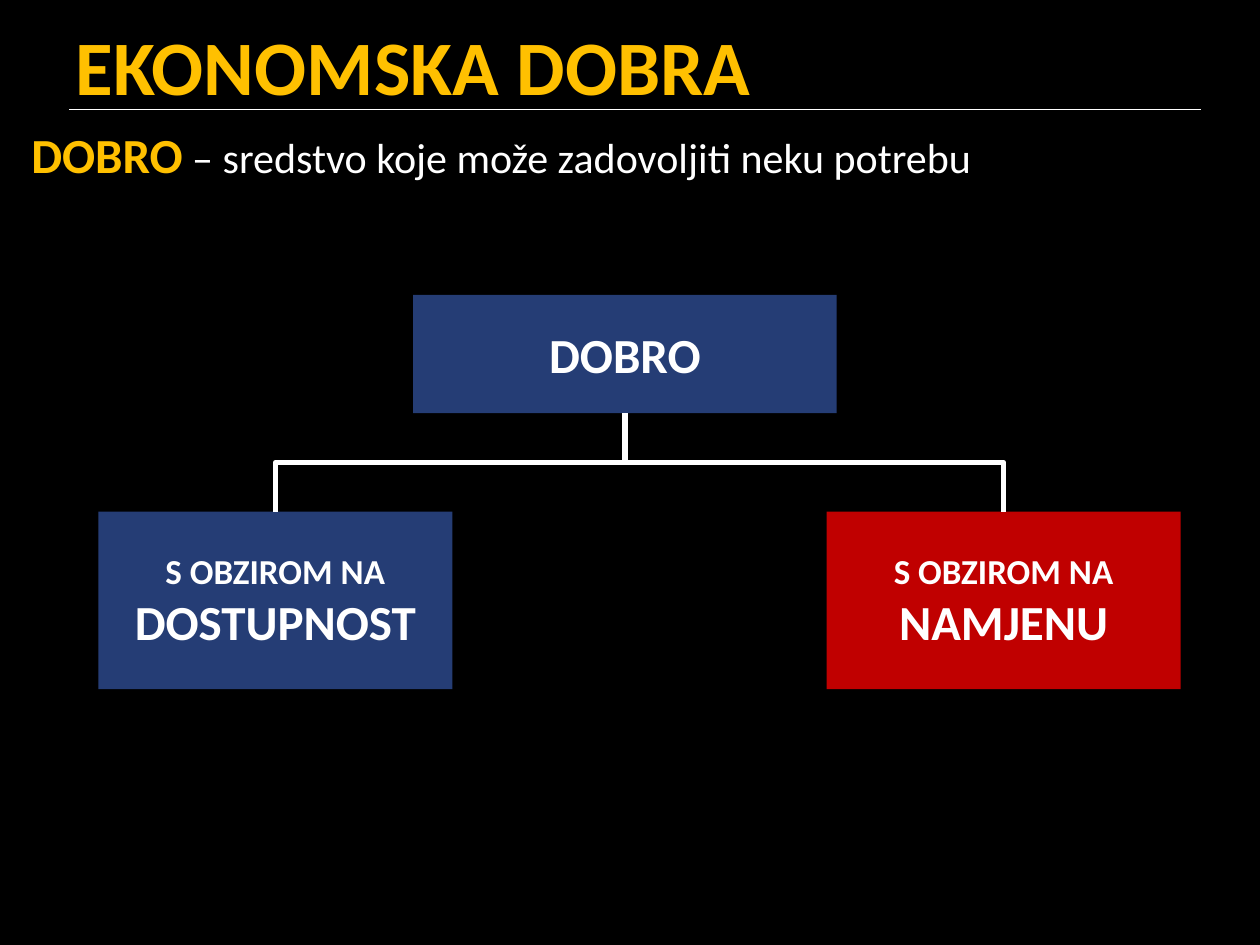
from pptx import Presentation
from pptx.dml.color import RGBColor
from pptx.enum.shapes import MSO_CONNECTOR, MSO_SHAPE
from pptx.enum.text import MSO_ANCHOR, MSO_AUTO_SIZE, PP_ALIGN
from pptx.oxml.ns import qn
from pptx.util import Inches, Pt
from lxml import etree

STRAIGHT, ELBOW = MSO_CONNECTOR.STRAIGHT, MSO_CONNECTOR.ELBOW
RECTANGLE = MSO_SHAPE.RECTANGLE
MIDDLE, TOP = MSO_ANCHOR.MIDDLE, MSO_ANCHOR.TOP
LEFT, CENTER = PP_ALIGN.LEFT, PP_ALIGN.CENTER
FIXED_SIZE = MSO_AUTO_SIZE.NONE
COLUMNS, ROWS = 100, 75
BOTTOM_SITE, TOP_SITE = 2, 0


def color(value):
    return RGBColor.from_string(value)


class SlideBuilder:
    font = "Calibri"
    black, white, gold = "000000", "FFFFFF", "FFC000"
    blue, red = "253D75", "C00000"

    def __init__(self, presentation):
        self.column = presentation.slide_width / COLUMNS
        self.row = presentation.slide_height / ROWS
        self.slide = presentation.slides.add_slide(presentation.slide_layouts[5])
        fill = self.slide.background.fill
        fill.solid()
        fill.fore_color.rgb = color(self.black)

    def area(self, left, top, width, height):
        return (round(left * self.column), round(top * self.row),
                round(width * self.column), round(height * self.row))

    def set_text(self, shape, runs, alignment, anchor):
        frame = shape.text_frame
        frame.word_wrap = True
        frame.auto_size = FIXED_SIZE
        frame.vertical_anchor = anchor
        paragraph = frame.paragraphs[0]
        paragraph.alignment = alignment
        paragraph.font.name = self.font
        for text, size, bold, text_color in runs:
            run = paragraph.add_run()
            run.text = text
            run.font.size = Pt(size)
            run.font.bold = bold
            run.font.color.rgb = color(text_color)

    def title(self, text, *place):
        title = self.slide.shapes.title
        title.left, title.top, title.width, title.height = self.area(*place)
        self.set_text(title, [(text, 44, True, self.gold)], LEFT, MIDDLE)

    def definition(self, term, meaning, *place):
        box = self.slide.shapes.add_textbox(*self.area(*place))
        runs = [(term, 28, True, self.gold), (meaning, 24, False, self.white)]
        self.set_text(box, runs, LEFT, TOP)
        properties = box.text_frame.paragraphs[0]._p.get_or_add_pPr()
        properties.set("marL", str(Inches(0.6)))
        properties.set("indent", str(Inches(-0.45)))

    def box(self, lines, fill, *place):
        shape = self.slide.shapes.add_shape(RECTANGLE, *self.area(*place))
        shape.shadow.inherit = False
        shape.fill.solid()
        shape.fill.fore_color.rgb = color(fill)
        shape.line.fill.background()
        runs = [(text, size, True, self.white) for text, size in lines]
        self.set_text(shape, runs, CENTER, MIDDLE)
        return shape

    def connector(self, kind, width, *ends):
        connector = self.slide.shapes.add_connector(kind, *ends)
        connector.line.color.rgb = color(self.white)
        connector.line.width = Pt(width)
        etree.SubElement(connector._element.spPr, qn("a:effectLst"))
        return connector

    def rule(self, left, right, row):
        x, y, width, _ = self.area(left, row, right - left, 0)
        self.connector(STRAIGHT, 1, x, y, x + width, y)

    def branch(self, parent, child):
        connector = self.connector(ELBOW, 3, 0, 0, 0, 0)
        connector.begin_connect(parent, BOTTOM_SITE)
        connector.end_connect(child, TOP_SITE)
        start_x, start_y = connector.begin_x, connector.begin_y
        end_x, end_y = connector.end_x, connector.end_y
        drop, reach = end_y - start_y, abs(end_x - start_x)
        connector.left = (start_x + end_x - drop) // 2
        connector.top = (start_y + end_y - reach) // 2
        connector.width, connector.height = drop, reach
        to_right = end_x > start_x
        transform = connector._element.spPr.find(qn("a:xfrm"))
        transform.set("rot", str((270 if to_right else 90) * 60000))
        transform.set("flipH", "1" if to_right else "0")
        transform.set("flipV", "0")


def main():
    presentation = Presentation()
    presentation.slide_width = Inches(10)
    presentation.slide_height = Inches(7.5)
    builder = SlideBuilder(presentation)

    builder.rule(5.5, 95.3, 8.7)
    builder.title("EKONOMSKA DOBRA", 5, 0.4, 88.8, 9.5)
    builder.definition("DOBRO", " – sredstvo koje može zadovoljiti neku potrebu",
                       0, 9.4, 100, 65.6)

    root = builder.box([("DOBRO", 28)], builder.blue, 32.8, 23.4, 33.6, 9.4)
    criteria = [("DOSTUPNOST", builder.blue, 7.8), ("NAMJENU", builder.red, 65.6)]
    for criterion, fill, left in criteria:
        lines = [("S OBZIROM NA ", 20), (criterion, 28)]
        child = builder.box(lines, fill, left, 40.6, 28.1, 14.1)
        builder.branch(root, child)

    presentation.save("out.pptx")


if __name__ == "__main__":
    main()
